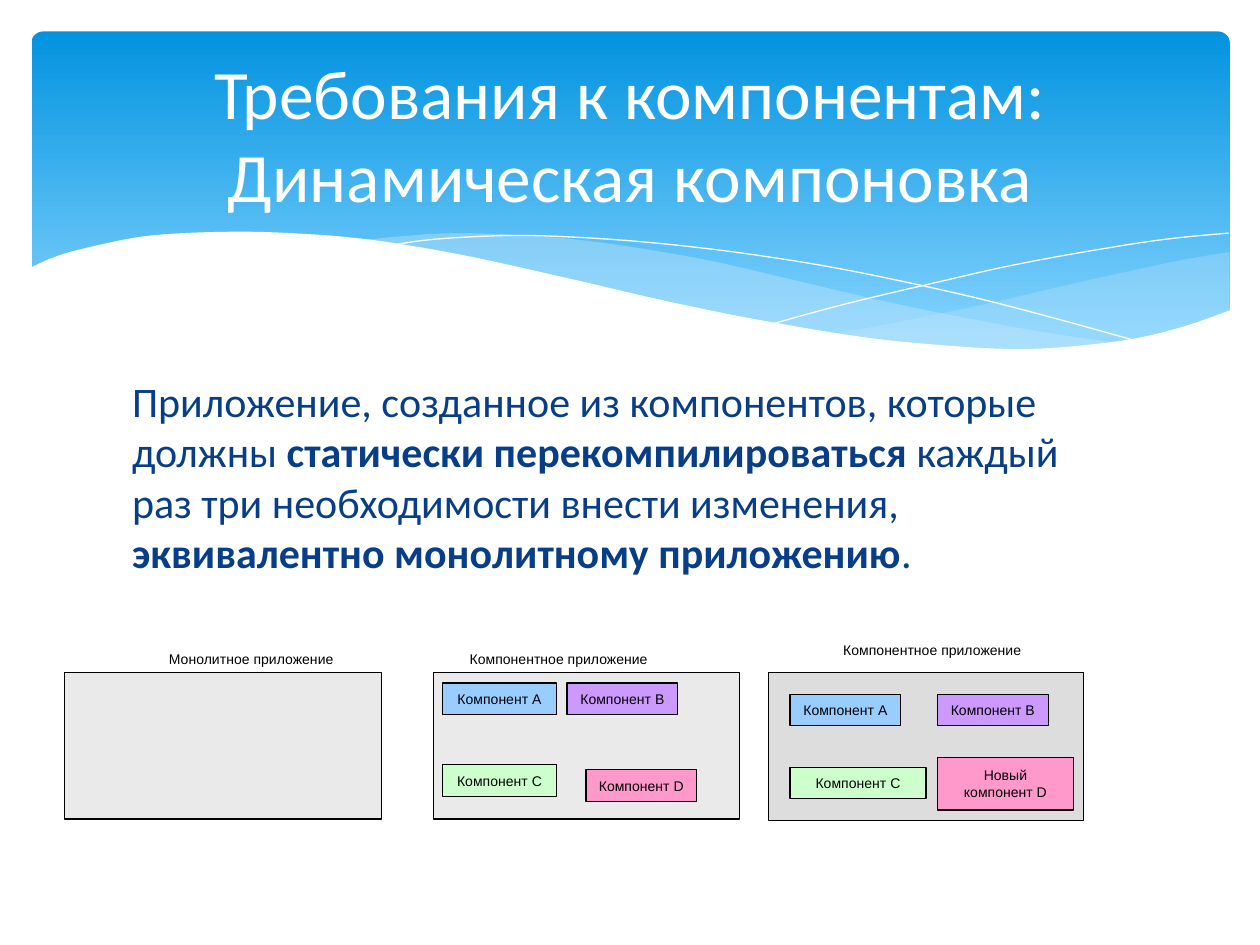
"""Build a slide on dynamic linking of components with three application diagrams."""
from lxml import etree
from pptx import Presentation
from pptx.dml.color import RGBColor
from pptx.enum.shapes import MSO_SHAPE
from pptx.enum.text import MSO_ANCHOR, PP_ALIGN
from pptx.oxml.ns import qn
from pptx.util import Inches, Pt

RECTANGLE, ROUNDED = MSO_SHAPE.RECTANGLE, MSO_SHAPE.ROUNDED_RECTANGLE
MIDDLE, TOP = MSO_ANCHOR.MIDDLE, MSO_ANCHOR.TOP
CENTER, LEFT = PP_ALIGN.CENTER, PP_ALIGN.LEFT
WHITE, BLACK = RGBColor(255, 255, 255), RGBColor(0, 0, 0)
NAVY = RGBColor(0x07, 0x3E, 0x87)
SKY_TOP, SKY_BOTTOM = RGBColor(0x02, 0x93, 0xE0), RGBColor(0x83, 0xD3, 0xFE)
MIST = RGBColor(0xC6, 0xE7, 0xFC)
LIGHT_GRAY, GRAY = RGBColor(0xEA, 0xEA, 0xEA), RGBColor(0xDD, 0xDD, 0xDD)
BLUE, VIOLET = RGBColor(0x99, 0xCC, 0xFF), RGBColor(0xCC, 0x99, 0xFF)
GREEN, PINK = RGBColor(0xCC, 0xFF, 0xCC), RGBColor(0xFF, 0x99, 0xCC)

TITLE = """Требования к компонентам:
Динамическая компоновка"""
BODY = [
    ("Приложение, созданное из компонентов, которые должны ", False),
    ("статически перекомпилироваться ", True),
    ("каждый раз три необходимости внести изменения, ", False),
    ("эквивалентно монолитному приложению", True),
    (".", False),
]
NEW_COMPONENT = """Новый
компонент D"""
APPLICATIONS = [
    {"label": ("Монолитное приложение", (1.06, 5.11, 1.87, 0.22)),
     "frame": ((0.51, 5.34, 2.52, 1.16), LIGHT_GRAY), "parts": []},
    {"label": ("Компонентное приложение", (3.48, 5.11, 1.91, 0.22)),
     "frame": ((3.44, 5.34, 2.43, 1.16), LIGHT_GRAY),
     "parts": [("Компонент А", (3.51, 5.42, 0.91, 0.25), BLUE),
               ("Компонент B", (4.5, 5.42, 0.88, 0.25), VIOLET),
               ("Компонент C", (3.51, 6.07, 0.91, 0.25), GREEN),
               ("Компонент D", (4.65, 6.11, 0.88, 0.25), PINK)]},
    {"label": ("Компонентное приложение", (6.4, 5.04, 2, 0.22)),
     "frame": ((6.1, 5.34, 2.5, 1.17), GRAY),
     "parts": [("Компонент А", (6.27, 5.51, 0.88, 0.25), BLUE),
               ("Компонент B", (7.44, 5.51, 0.88, 0.25), VIOLET),
               ("Компонент C", (6.27, 6.09, 1.08, 0.25), GREEN),
               (NEW_COMPONENT, (7.44, 6.01, 1.08, 0.42), PINK)]},
]
WAVES = [
    {"edges": [[(9.76, 2), (9.35, 2.07), (8.61, 2.23), (7.79, 2.42), (7.06, 2.57), (6.61, 2.65)],
               [(6.61, 2.65), (7.05, 2.71), (7.57, 2.76), (8.14, 2.78), (8.63, 2.75),
                (9.13, 2.67), (9.49, 2.57), (9.76, 2.47)]],
     "fill": MIST, "alpha": 29},
    {"edges": [[(8.93, 2.73), (8.37, 2.65), (7.75, 2.54), (7.06, 2.4), (6.29, 2.22), (5.69, 2.08),
                (5.14, 1.98), (4.65, 1.91), (4.2, 1.87), (3.61, 1.85), (3.13, 1.88), (2.86, 1.91)],
               [(2.86, 1.91), (3.42, 1.99), (4.04, 2.11), (4.91, 2.32), (5.66, 2.48), (6.34, 2.61),
                (6.95, 2.7), (7.48, 2.76), (7.96, 2.78), (8.48, 2.77), (8.93, 2.73)]],
     "fill": MIST, "alpha": 40},
    {"edges": [[(3.09, 1.95), (3.44, 1.9), (4.01, 1.87), (4.5, 1.88), (5.1, 1.92), (5.82, 2),
                (6.65, 2.13), (7.6, 2.33), (8.31, 2.51), (9.07, 2.72)]]},
    {"edges": [[(6.13, 2.57), (6.72, 2.41), (7.48, 2.23), (8.06, 2.1), (8.66, 1.99),
                (9.24, 1.9), (9.75, 1.85)]]},
    {"edges": [[(9.77, 2.46), (9.4, 2.59), (8.99, 2.69), (8.5, 2.75), (8.09, 2.77), (7.61, 2.75),
                (6.88, 2.68), (6.03, 2.54), (5.29, 2.39), (4.47, 2.2), (3.65, 2.02), (2.92, 1.9),
                (2.3, 1.85), (1.77, 1.84), (1.19, 1.87), (0.76, 1.95), (0.46, 2.03), (0.23, 2.13)],
               [(0.23, 3.29), (9.77, 3.29)]],
     "fill": WHITE},
]


def smooth(points, steps=5):
    """Return Catmull-Rom samples running through the points."""
    if len(points) < 3:
        return points
    padded = [points[0], *points, points[-1]]
    samples = [points[0]]
    for a, b, c, d in zip(padded, padded[1:], padded[2:], padded[3:]):
        for step in range(1, steps + 1):
            t = step / steps
            samples.append(tuple(
                (2 * q + (r - p) * t + (2 * p - 5 * q + 4 * r - s) * t ** 2
                 + (3 * q - p - 3 * r + s) * t ** 3) / 2
                for p, q, r, s in zip(a, b, c, d)))
    return samples


def place(shape, box):
    for name, value in zip(("left", "top", "width", "height"), box):
        setattr(shape, name, Inches(value))


def write(shape, spans, size, color, font="Arial", align=CENTER, anchor=MIDDLE, wrap=True):
    frame = shape.text_frame
    frame.word_wrap, frame.vertical_anchor = wrap, anchor
    para = frame.paragraphs[0]
    para.alignment = align
    for text, bold in spans:
        for index, line in enumerate(text.splitlines()):
            if index:
                para.add_line_break()
            span = para.add_run()
            span.text = line
            for name, value in {"size": Pt(size), "name": font, "bold": bold}.items():
                setattr(span.font, name, value)
            span.font.color.rgb = color
    return para


def add_wave(page, wave):
    points = [(Inches(x), Inches(y)) for edge in wave["edges"] for x, y in smooth(edge)]
    filled = "fill" in wave
    builder = page.shapes.build_freeform(*points[0])
    builder.add_line_segments(points[1:], close=filled)
    shape = builder.convert_to_shape()
    shape.shadow.inherit = False
    if not filled:
        shape.fill.background()
        shape.line.color.rgb = WHITE
        shape.line.width = Pt(0)
        return
    shape.line.fill.background()
    shape.fill.solid()
    shape.fill.fore_color.rgb = wave["fill"]
    if "alpha" in wave:
        color = shape.element.spPr.find(".//" + qn("a:srgbClr"))
        etree.SubElement(color, qn("a:alpha")).set("val", str(wave["alpha"] * 1000))


def add_banner(page):
    banner = page.shapes.add_shape(ROUNDED, *map(Inches, (0.25, 0.25, 9.51, 2.7)))
    banner.adjustments[0] = 0.034
    banner.shadow.inherit = False
    banner.line.fill.background()
    banner.fill.gradient()
    banner.fill.gradient_angle = 270
    for stop, color, position in zip(banner.fill.gradient_stops, (SKY_TOP, SKY_BOTTOM), (0, 0.9)):
        stop.color.rgb, stop.position = color, position


def add_box(page, box, color):
    shape = page.shapes.add_shape(RECTANGLE, *map(Inches, box))
    shape.shadow.inherit = False
    shape.fill.solid()
    shape.fill.fore_color.rgb = color
    shape.line.color.rgb = BLACK
    shape.line.width = Pt(0.75)
    return shape


def add_application(page, application):
    add_box(page, *application["frame"])
    text, box = application["label"]
    label = page.shapes.add_textbox(*map(Inches, box))
    write(label, [(text, False)], 8, BLACK, anchor=TOP)
    for text, box, color in application["parts"]:
        write(add_box(page, box, color), [(text, False)], 8, BLACK, wrap=False)


def main():
    deck = Presentation()
    deck.slide_width, deck.slide_height = Inches(10), Inches(7.5)
    page = deck.slides.add_slide(deck.slide_layouts.get_by_name("Title Only"))
    add_banner(page)
    for wave in WAVES:
        add_wave(page, wave)
    body = page.shapes.add_textbox(*map(Inches, (0.95, 2.93, 8.1, 1.69)))
    write(body, BODY, 24, NAVY, "Calibri", LEFT, TOP).space_before = Pt(4.8)
    title = page.shapes.title
    place(title, (0.5, 0.37, 9, 1.37))
    write(title, [(TITLE, False)], 39.6, WHITE, "Calibri")
    title.element.getparent().append(title.element)
    for application in APPLICATIONS:
        add_application(page, application)
    deck.save("out.pptx")


if __name__ == "__main__":
    main()
